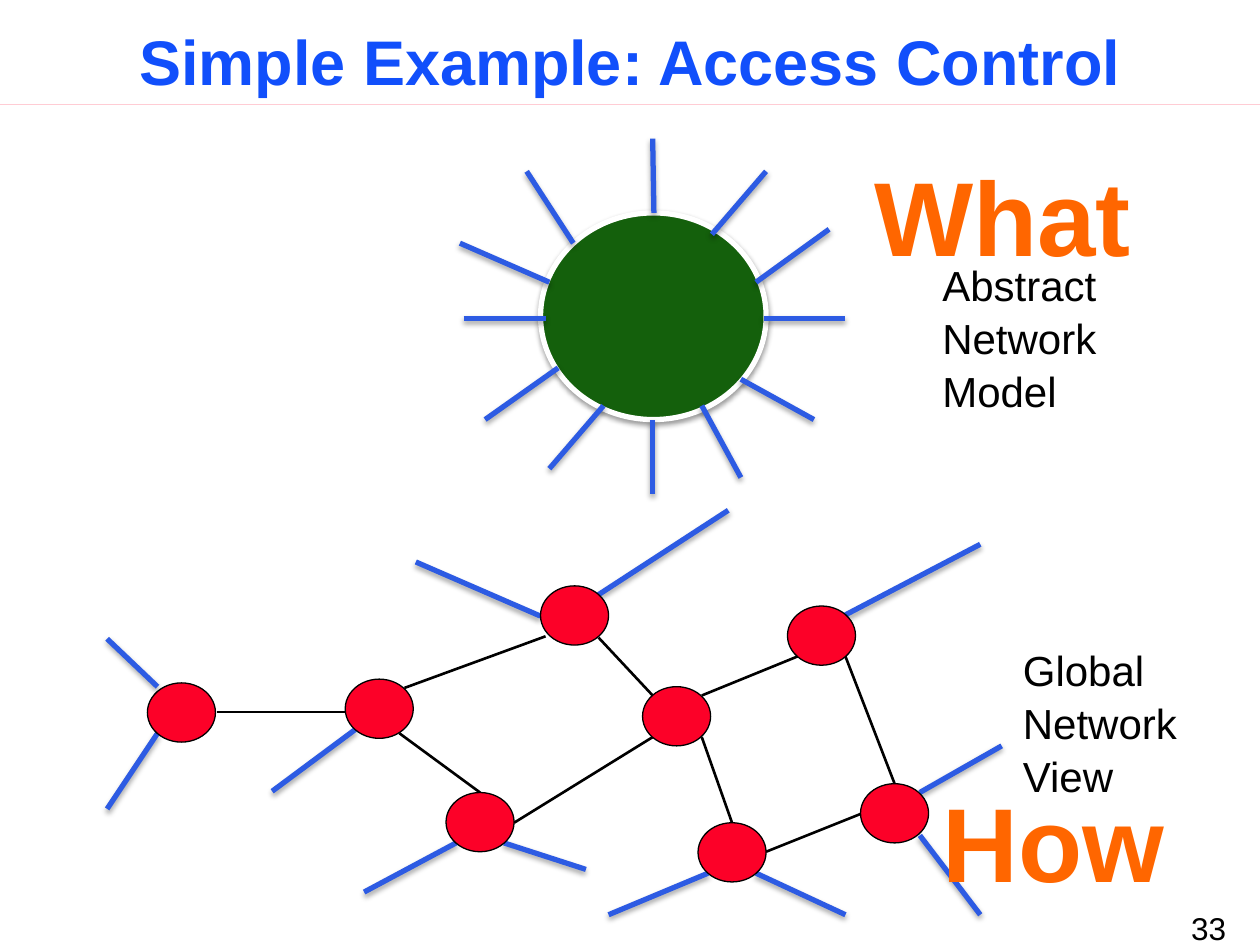
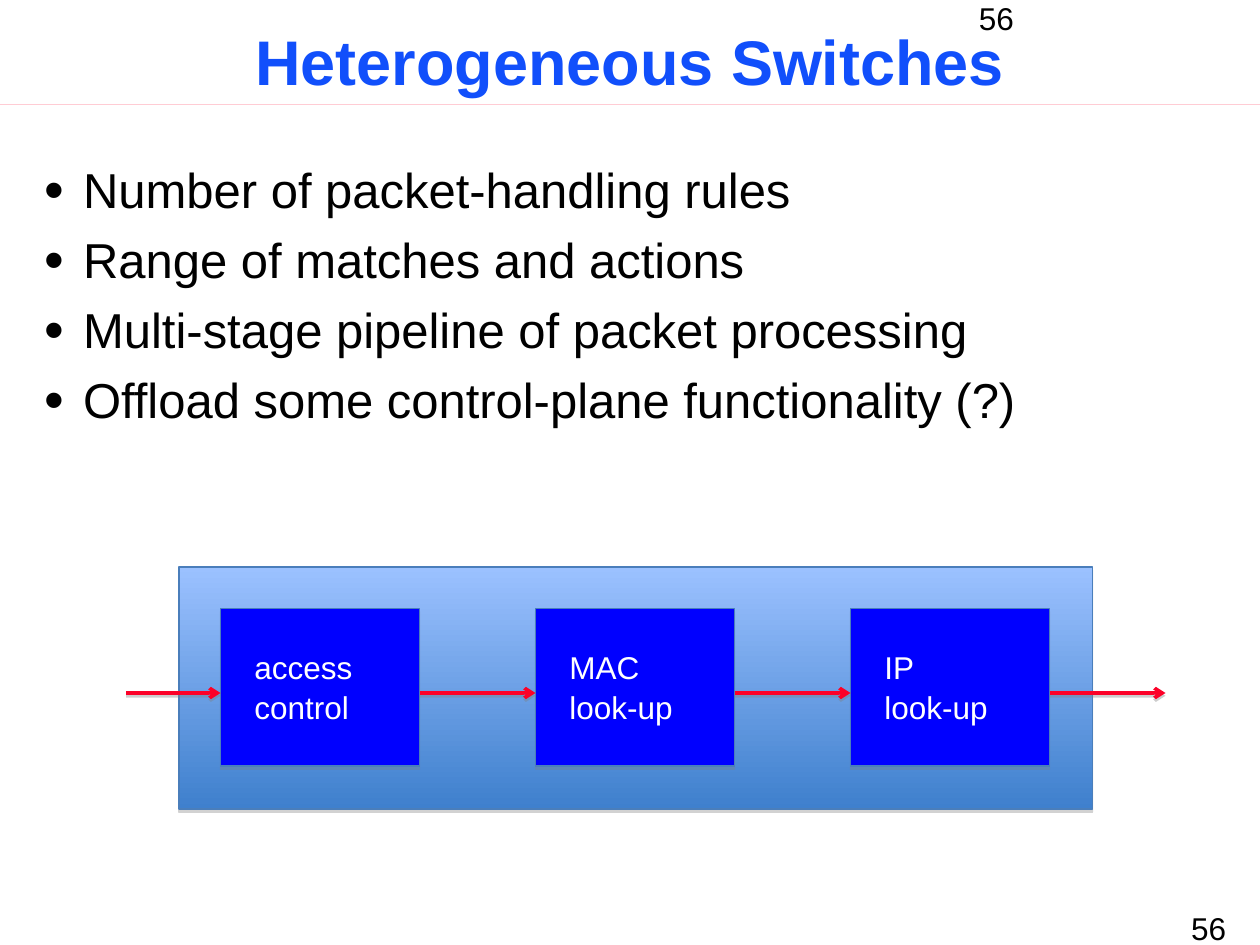
import pptx
import pptx.util
import pptx.dml.color
import pptx.enum.shapes
import pptx.enum.text
import pptx.oxml
import pptx.oxml.ns

Inches, Pt = pptx.util.Inches, pptx.util.Pt
Align, Anchor = pptx.enum.text.PP_ALIGN, pptx.enum.text.MSO_ANCHOR
Shape = pptx.enum.shapes.MSO_SHAPE
Wire = pptx.enum.shapes.MSO_CONNECTOR.STRAIGHT
rgb = pptx.dml.color.RGBColor.from_string
NS = pptx.oxml.ns.nsdecls("a")


class Theme:
    font = "Arial"
    title, rule, ink, white = "114FFB", "FFCCD4", "000000", "FFFFFF"
    host, node, core, big = "2D5BE3", "FC0128", "14600C", "FF6600"
    stage, edge, top, base = "0000FF", "4A7EBB", "9BC1FF", "3F80CD"
    head, huge, list, label, small = 36, 60, 28, 24, 18
    # shadows: colour, opacity in percent, blur and distance in points
    ray = ("000000", 35, 3.1, 1.8)
    disc = ("000000", 38, 3.1, 1.6)
    box = ("808080", 35, 0, 1.8)
    flow = ("808080", 38, 0, 1.6)


def style(shape, color, width, fill=None, shade=None):
    """Set line, fill and shadow of a shape or connector."""
    shape.line.color.rgb = rgb(color)
    shape.line.width = Pt(width)
    if fill:
        shape.fill.solid()
        shape.fill.fore_color.rgb = rgb(fill)
    glow = ""
    if shade:
        tint, alpha, blur, dist = shade
        glow = (f'<a:outerShdw blurRad="{Pt(blur)}" dist="{Pt(dist)}" dir="5400000" rotWithShape="0">'
                f'<a:srgbClr val="{tint}"><a:alpha val="{alpha * 1000}"/></a:srgbClr></a:outerShdw>')
    props = shape._element.spPr
    props.append(pptx.oxml.parse_xml(f"<a:effectLst {NS}>{glow}</a:effectLst>"))
    return shape


def write(slide, spot, lines, size, color=Theme.ink, bold=False, align=Align.LEFT, wrap=True):
    frame = slide.shapes.add_textbox(*map(Inches, spot)).text_frame
    frame.word_wrap = wrap
    frame.text = "\n".join(lines)
    for para in frame.paragraphs:
        para.alignment = align
        para.line_spacing = 1.05
        para.font.name, para.font.size = Theme.font, Pt(size)
        para.font.bold, para.font.color.rgb = bold, rgb(color)


deck = pptx.Presentation()
deck.slide_width, deck.slide_height = Inches(10), Inches(7.5)

# Shared frame: title, rule and page number
slides = []
for layout, title, page in [(5, "Simple Example: Access Control", "33"),
                            (1, "Heterogeneous Switches", "56")]:
    slide = deck.slides.add_slide(deck.slide_layouts[layout])
    slides.append(slide)
    head = slide.shapes.title
    head.left, head.top, head.width, head.height = map(Inches, (0, 0.17, 10, 0.67))
    frame = head.text_frame
    frame.text = title
    frame.auto_size = pptx.enum.text.MSO_AUTO_SIZE.NONE
    frame.vertical_anchor = Anchor.BOTTOM
    para = frame.paragraphs[0]
    para.alignment, para.line_spacing = Align.CENTER, 0.9
    para.font.name, para.font.size = Theme.font, Pt(Theme.head)
    para.font.bold, para.font.color.rgb = True, rgb(Theme.title)
    rule = slide.shapes.add_connector(Wire, 0, Inches(0.83), Inches(10), Inches(0.83))
    style(rule, Theme.rule, 0.25)
    write(slide, (9.08, 7.15, 0.75, 0.4), [page], Theme.small, align=Align.RIGHT)
control, switches = slides

# Slide 1: abstract model above, network view below
links = [
    (4.75, 5.06, 5.18, 5.52), (3.21, 5.46, 4.33, 5.05), (3.17, 5.82, 3.81, 6.29),
    (1.72, 5.65, 2.74, 5.65), (4.08, 6.53, 5.18, 5.85), (6.08, 6.76, 6.83, 6.46),
    (6.71, 5.21, 7.1, 6.22), (5.57, 5.85, 5.81, 6.53), (5.57, 5.52, 6.33, 5.21),
]
hosts = [
    (3.3, 4.46, 4.29, 4.89), (2.89, 7.08, 3.62, 6.69), (4, 6.69, 4.65, 6.9),
    (4.75, 4.72, 5.78, 4.05), (0.85, 6.42, 1.25, 5.82), (0.85, 5.07, 1.25, 5.45),
    (6.71, 4.88, 7.78, 4.32), (7.3, 6.63, 7.78, 7.26), (6, 6.93, 6.71, 7.26),
    (7.3, 6.29, 7.95, 5.92), (2.16, 6.28, 2.82, 5.79), (5.62, 6.93, 4.83, 7.26),
]
rays = [
    (5.65, 1.86, 6.08, 1.36), (5.19, 1.69, 5.18, 1.1), (6, 2.24, 6.58, 1.82),
    (6.06, 2.53, 6.71, 2.53), (4.55, 1.93, 4.18, 1.36), (4.36, 2.24, 3.65, 1.93),
    (3.68, 2.53, 4.33, 2.53), (5.18, 3.92, 5.18, 3.33), (5.88, 3.01, 6.46, 3.33),
    (5.57, 3.22, 5.88, 3.79), (4.36, 3.72, 4.79, 3.22), (3.85, 3.33, 4.43, 2.92),
]
nodes = [(1.17, 5.42), (4.29, 4.65), (5.1, 5.45), (3.54, 6.29),
         (2.74, 5.39), (5.54, 6.53), (6.25, 4.81), (6.83, 6.22)]

core = control.shapes.add_shape(Shape.OVAL, *map(Inches, (4.29, 1.69, 1.79, 1.64)))
style(core, Theme.white, 3, Theme.core, Theme.disc)
for group, color, width, shade in [(links, Theme.ink, 1.5, None),
                                   (hosts + rays, Theme.host, 3, Theme.ray)]:
    for ends in group:
        wire = control.shapes.add_connector(Wire, *map(Inches, ends))
        style(wire, color, width, shade=shade)
for left, top in nodes:
    node = control.shapes.add_shape(Shape.OVAL, *map(Inches, (left, top, 0.54, 0.47)))
    style(node, Theme.ink, 0.75, Theme.node)

write(control, (8.02, 5.05, 1.84, 1.31), ["Global", "Network View"], Theme.label)
write(control, (7.38, 1.99, 2.25, 1.31), ["Abstract Network", "Model"], Theme.label)
for word, spot in [("How", (7.1, 6.07, 2.52, 1.11)), ("What", (6.61, 1.1, 2.69, 1.11))]:
    write(control, spot, [word], Theme.huge, Theme.big, True, Align.CENTER)

# Slide 2: list above, pipeline below
body = switches.placeholders[1]
body.left, body.top, body.width, body.height = map(Inches, (0.25, 1.25, 9.58, 5.99))
frame = body.text_frame
frame.text = "\n".join([
    "Number of packet-handling rules",
    "Range of matches and actions",
    "Multi-stage pipeline of packet processing",
    "Offload some control-plane functionality (?)",
])
frame.auto_size = pptx.enum.text.MSO_AUTO_SIZE.NONE
for index, para in enumerate(frame.paragraphs):
    para.line_spacing = 0.94
    para.space_before = Pt(8.4 if index else 0)
    props = para._p.get_or_add_pPr()
    props.set("marL", str(Inches(0.31)))
    props.set("indent", str(Inches(-0.31)))
    for tag in (f'<a:buClr {NS}><a:srgbClr val="{Theme.ink}"/></a:buClr>',
                f'<a:buSzPct {NS} val="115000"/>',
                f'<a:buFont {NS} typeface="{Theme.font}"/>',
                f'<a:buChar {NS} char="•"/>'):
        props.append(pptx.oxml.parse_xml(tag))
    para.font.name, para.font.size = Theme.font, Pt(Theme.list)
    para.font.color.rgb = rgb(Theme.ink)

write(switches, (7.67, -0.07, 2.33, 0.4), ["56"], Theme.small)

panel = switches.shapes.add_shape(Shape.RECTANGLE, *map(Inches, (1.42, 4.5, 7.25, 1.92)))
panel.fill.gradient()
panel.fill.gradient_angle = 270
for stop, color, place in zip(panel.fill.gradient_stops, (Theme.top, Theme.base), (0, 1)):
    stop.color.rgb, stop.position = rgb(color), place
style(panel, Theme.edge, 0.75, shade=Theme.box)

first, pitch, wide = 1.75, 2.5, 1.58
stages = [("access", "control"), ("MAC", "look-up"), ("IP", "look-up")]
for index, lines in enumerate(stages):
    left = first + index * pitch
    stage = switches.shapes.add_shape(Shape.RECTANGLE, *map(Inches, (left, 4.83, wide, 1.25)))
    style(stage, Theme.edge, 0.75, Theme.stage, Theme.box)
    write(switches, (left + 0.17, 5.08, 1.22, 0.77), lines, Theme.small, Theme.white, wrap=False)

starts = [1] + [first + index * pitch + wide for index in range(3)]
stops = [first + index * pitch for index in range(3)] + [9.25]
for start, stop in zip(starts, stops):
    arrow = switches.shapes.add_connector(Wire, *map(Inches, (start, 5.5, stop, 5.5)))
    style(arrow, Theme.node, 2, shade=Theme.flow)
    arrow.line._get_or_add_ln().append(pptx.oxml.parse_xml(f'<a:tailEnd {NS} type="arrow"/>'))

deck.save("out.pptx")
